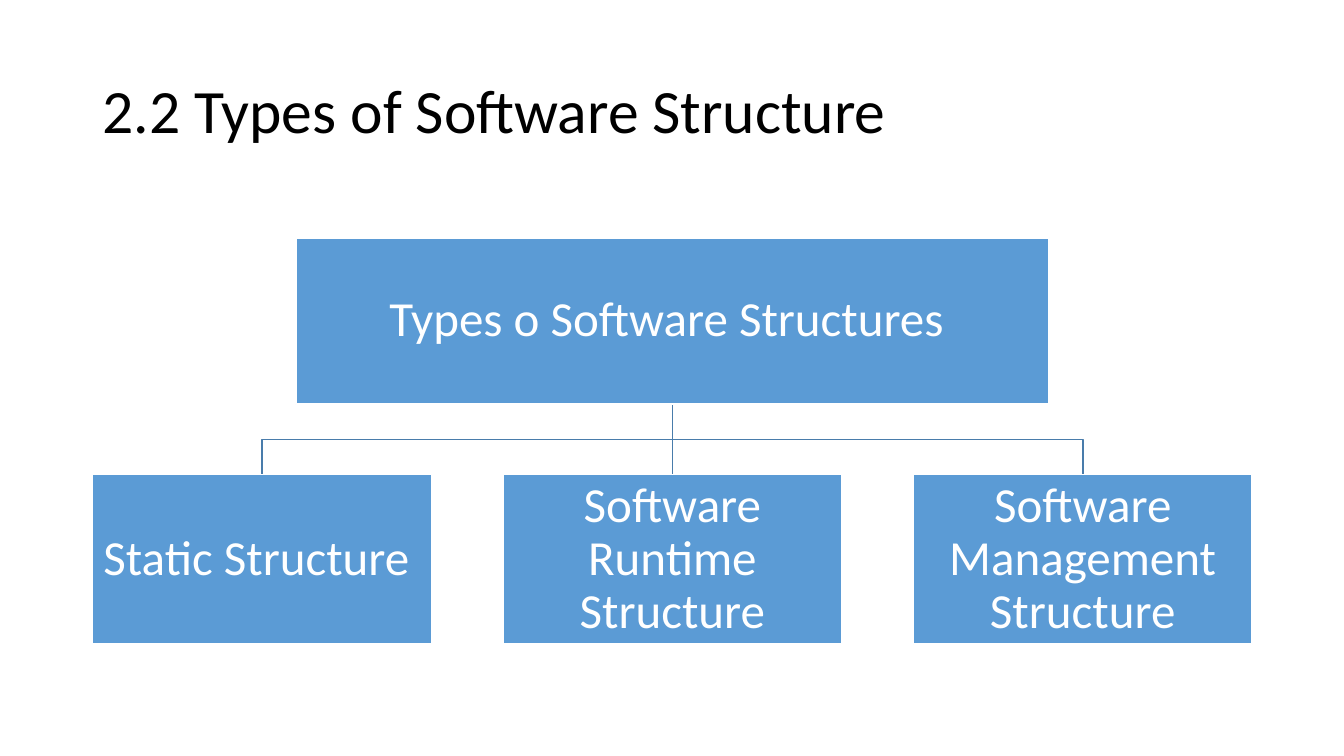
from lxml import etree
from pptx import Presentation
from pptx.dml.color import RGBColor
from pptx.enum.shapes import MSO_CONNECTOR as LINE, MSO_SHAPE as SHAPE
from pptx.enum.text import MSO_ANCHOR as ANCHOR, PP_ALIGN as ALIGN
from pptx.oxml.ns import qn
from pptx.util import Inches, Pt


def color(hex_code):
    return RGBColor.from_string(hex_code)


def write(shape, text, size, ink, align=ALIGN.LEFT, inset_x=0.1, inset_y=0.05):
    frame = shape.text_frame
    frame.word_wrap = True
    frame.vertical_anchor = ANCHOR.MIDDLE
    frame.margin_left = frame.margin_right = Inches(inset_x)
    frame.margin_top = frame.margin_bottom = Inches(inset_y)
    paragraph = frame.paragraphs[0]
    paragraph.alignment = align
    paragraph.line_spacing = 0.9
    run = paragraph.add_run()
    run.text = text
    run.font.name = "Calibri"
    run.font.size = Pt(size)
    run.font.color.rgb = color(ink)


deck = Presentation()
deck.slide_width, deck.slide_height = Inches(13.33), Inches(7.5)
slide = deck.slides.add_slide(deck.slide_layouts[6])
shapes = slide.shapes

# Title
title = shapes.add_textbox(Inches(0.92), Inches(0.4), Inches(11.5), Inches(1.45))
write(title, "2.2 Types of Software Structure", 44, "000000")

# Tree layout
center = 6.67
root_width, root_top, root_height = 7.47, 2.36, 1.65
type_width, type_top, type_height = 3.36, 4.71, 1.68
pitch = 4.07
root_bottom = root_top + root_height
bend = (root_bottom + type_top) / 2
types = ["Static Structure ", "Software Runtime Structure", "Software Management Structure"]
type_centers = [center + (i - 1) * pitch for i in range(len(types))]

# Branches from the root to each type
for x in type_centers:
    if x == center:
        branch = shapes.add_connector(LINE.STRAIGHT, Inches(x), Inches(root_bottom),
                                      Inches(x), Inches(type_top))
        etree.SubElement(branch.line._get_or_add_ln().getparent(), qn("a:effectLst"))
    else:
        elbow = shapes.build_freeform(Inches(center), Inches(root_bottom))
        corners = [(center, bend), (x, bend), (x, type_top)]
        elbow.add_line_segments([(Inches(a), Inches(b)) for a, b in corners], close=False)
        branch = elbow.convert_to_shape()
        branch.fill.background()
        branch.shadow.inherit = False
    branch.line.color.rgb = color("497CAB")
    branch.line.width = Pt(1)

# Root and type boxes
boxes = [("Types o Software Structures ", center, root_top, root_width, root_height)]
boxes += [(name, x, type_top, type_width, type_height) for name, x in zip(types, type_centers)]
for name, x, top, width, height in boxes:
    box = shapes.add_shape(SHAPE.RECTANGLE, Inches(x - width / 2), Inches(top),
                           Inches(width), Inches(height))
    box.shadow.inherit = False
    box.fill.solid()
    box.fill.fore_color.rgb = color("5B9BD5")
    box.line.color.rgb = color("FFFFFF")
    box.line.width = Pt(1)
    write(box, name, 35, "FFFFFF", align=ALIGN.CENTER, inset_x=0.02, inset_y=0.02)

deck.save("out.pptx")
